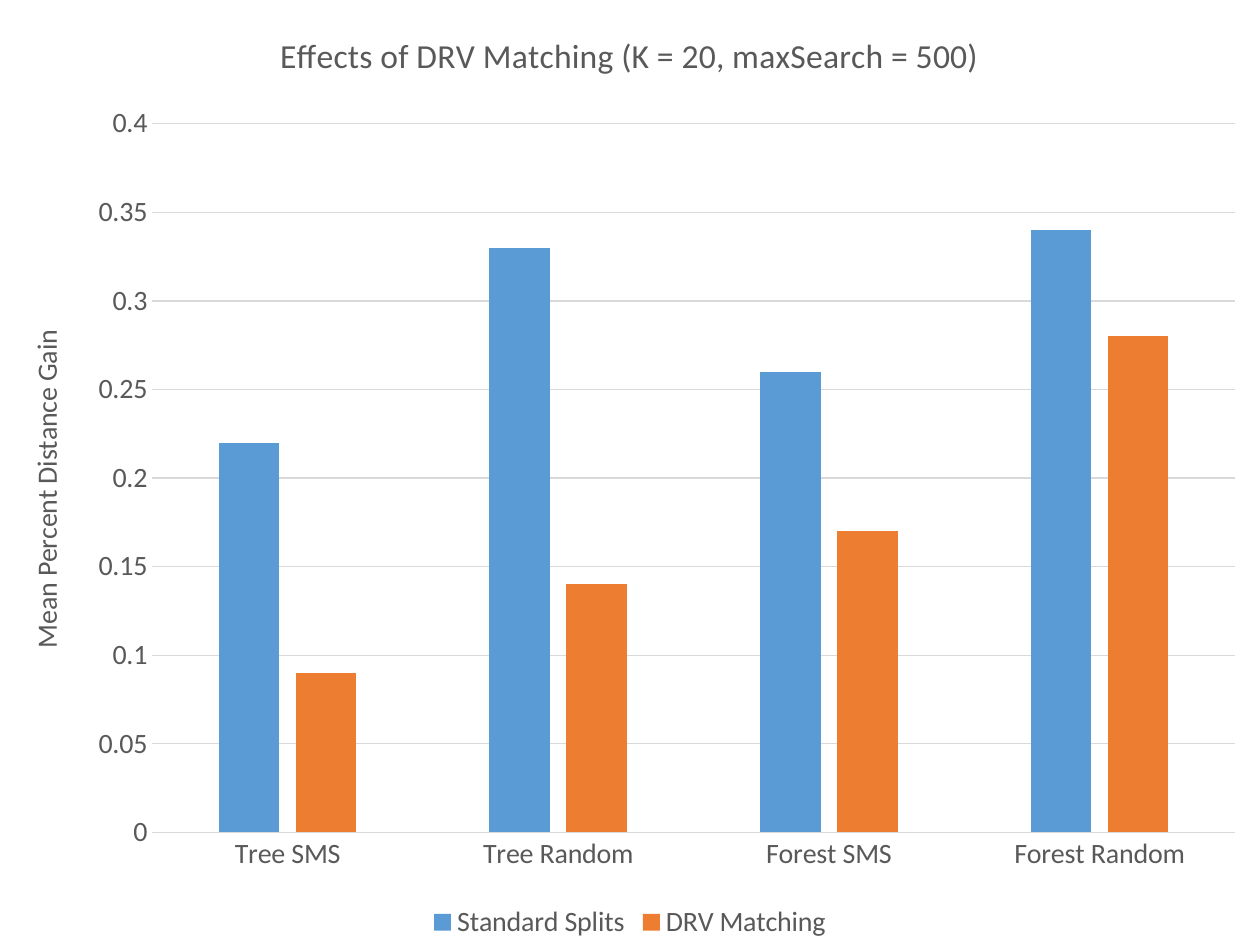
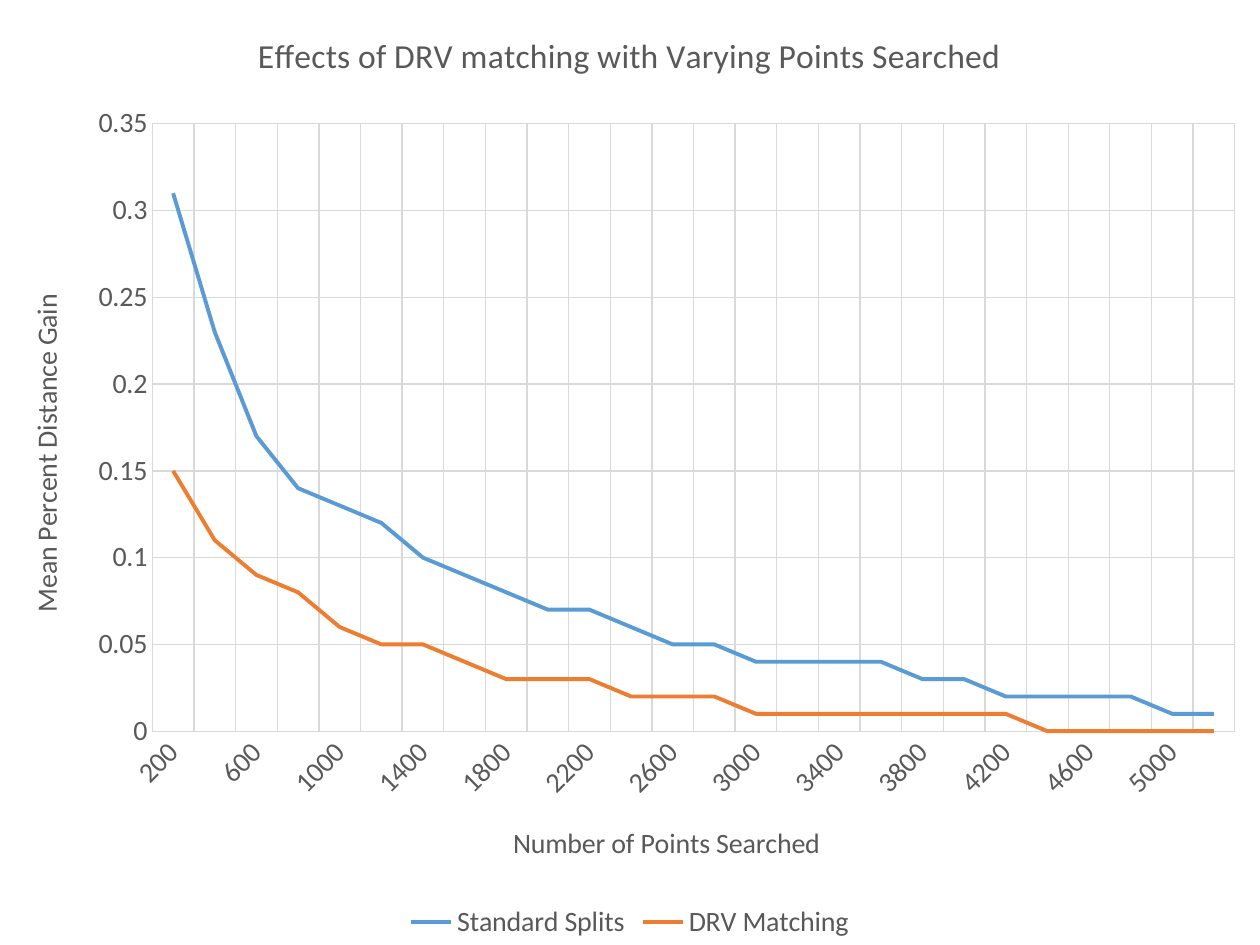
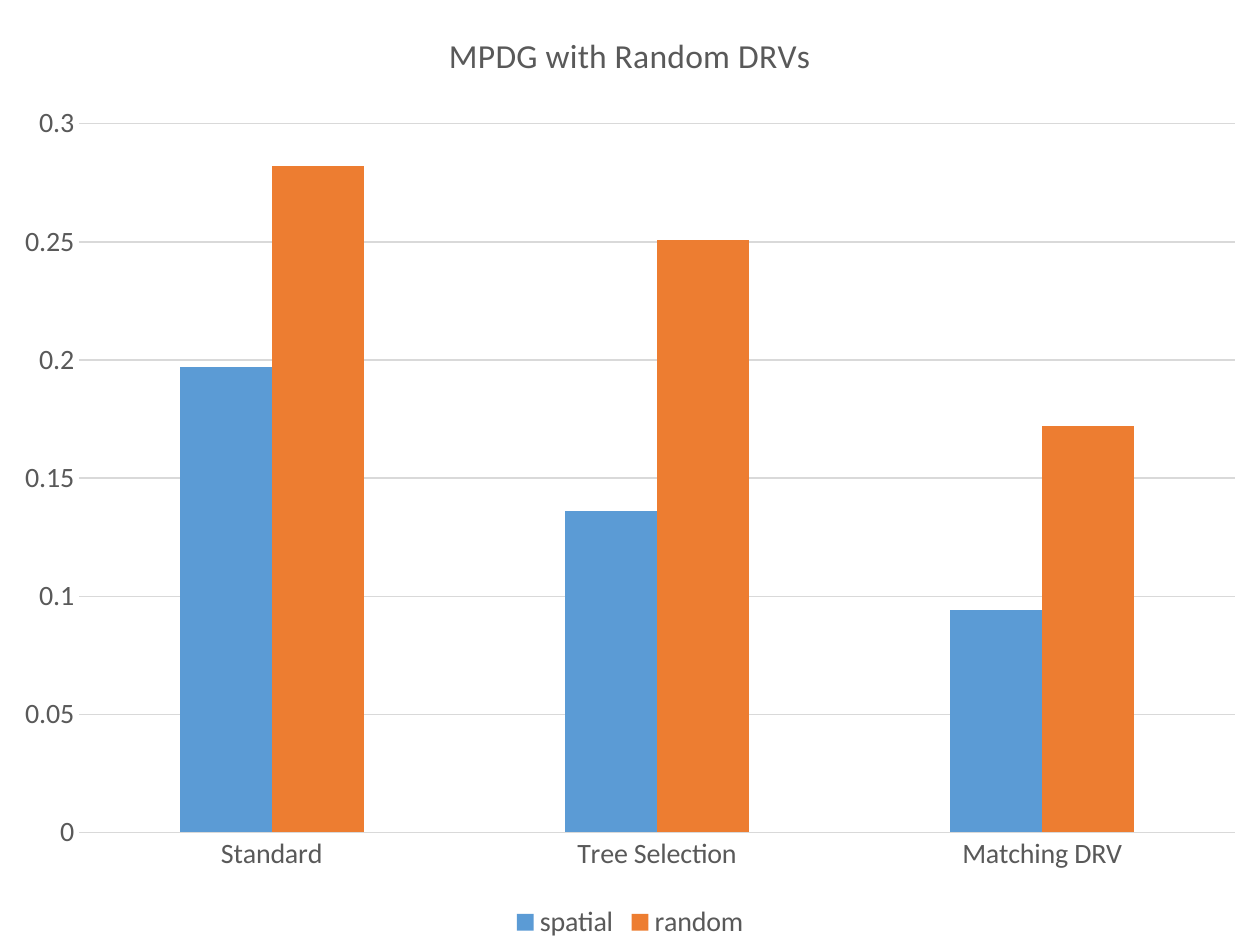
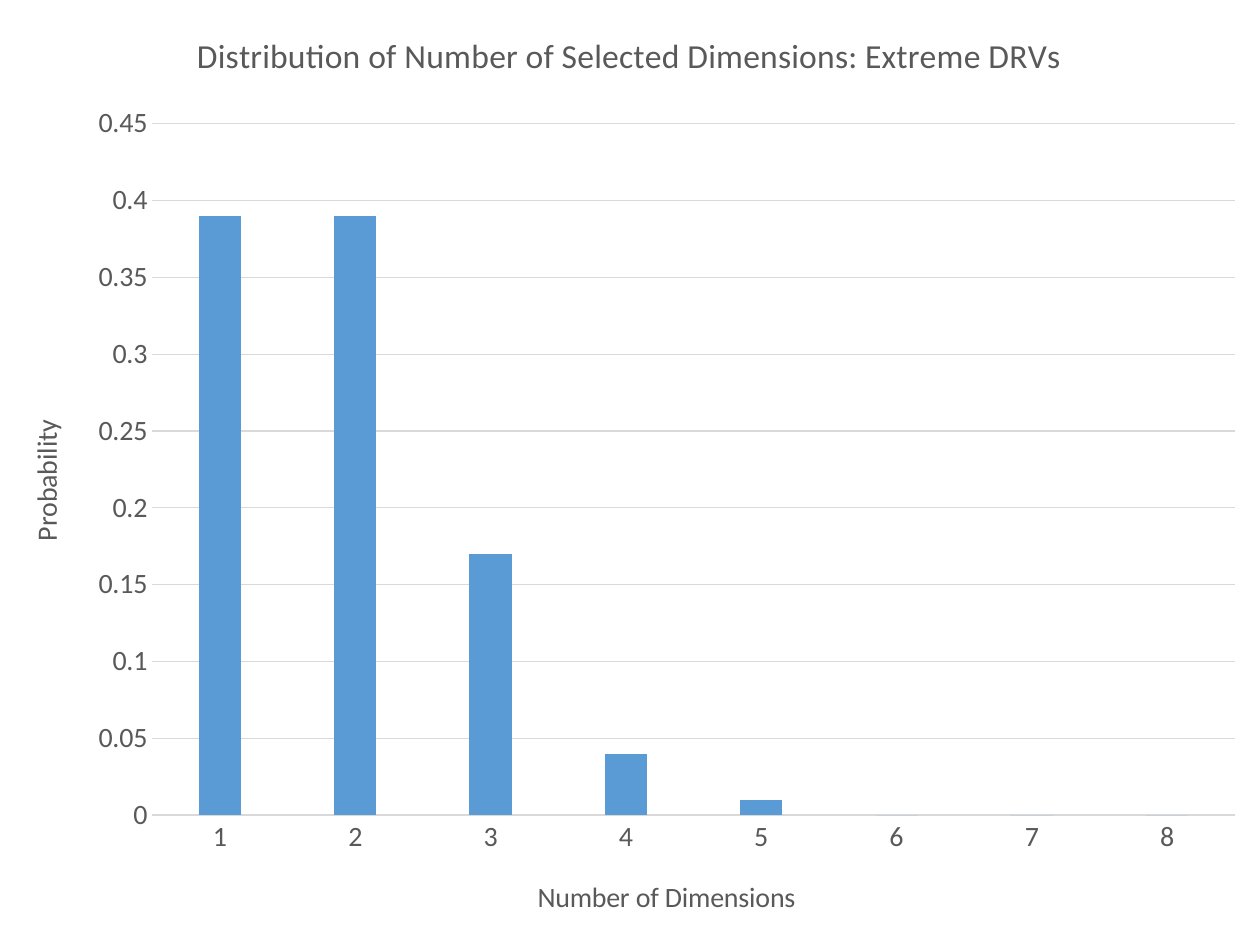
from dataclasses import dataclass, field
from typing import NamedTuple

from pptx import Presentation
from pptx.chart.data import CategoryChartData
from pptx.dml.color import RGBColor
from pptx.enum.chart import XL_CHART_TYPE as ChartType
from pptx.enum.chart import XL_LEGEND_POSITION as LegendPosition
from pptx.enum.chart import XL_TICK_MARK as TickMark
from pptx.util import Cm, Pt


@dataclass(frozen=True)
class Theme:
    font: str = "Calibri"
    text: RGBColor = field(default_factory=lambda: RGBColor.from_string("595959"))
    rule: RGBColor = field(default_factory=lambda: RGBColor.from_string("D9D9D9"))
    series: tuple = tuple(RGBColor.from_string(code) for code in ("5B9BD5", "ED7D31"))
    title_size: Pt = Pt(19.2)
    body_size: Pt = Pt(16)
    rule_width: Pt = Pt(0.75)
    line_width: Pt = Pt(2.25)


class Box(NamedTuple):
    left: Cm
    top: Cm
    width: Cm
    height: Cm


THEME = Theme()
PAGE_BOX = Box(Cm(0), Cm(0), Cm(25.4), Cm(19.05))
AXIS_STEP = 0.05
GAP_WIDTH = 219
SPACED = -27
TURNED_UP = "-5400000"
AUTOMATIC_ANGLE = "-60000000"


def style_font(font, size=THEME.body_size):
    font.name = THEME.font
    font.size = size
    font.bold = False
    font.color.rgb = THEME.text


def style_rule(line):
    line.color.rgb = THEME.rule
    line.width = THEME.rule_width


def write_title(owner, text, size=THEME.body_size, angle="0"):
    """Title a chart or an axis."""
    frame = (owner.chart_title if hasattr(owner, "chart_title") else owner.axis_title).text_frame
    span = frame.paragraphs[0].add_run()
    span.text = text
    style_font(span.font, size)
    body = frame._txBody.bodyPr
    body.set("rot", angle)
    body.set("vert", "horz")


def style_axis(axis, title, title_angle="0"):
    axis.major_tick_mark = axis.minor_tick_mark = TickMark.NONE
    style_font(axis.tick_labels.font)
    axis._element.txPr.bodyPr.set("rot", AUTOMATIC_ANGLE)
    axis.has_title = bool(title)
    if title:
        write_title(axis, title, angle=title_angle)


def style_axes(chart, top_value, category_title, value_title, category_grid):
    categories, values = chart.category_axis, chart.value_axis
    style_axis(categories, category_title)
    style_rule(categories.format.line)
    categories.has_major_gridlines = category_grid
    if category_grid:
        style_rule(categories.major_gridlines.format.line)

    style_axis(values, value_title, TURNED_UP)
    values.format.line.fill.background()
    values.minimum_scale, values.maximum_scale = 0, top_value
    values.major_unit = AXIS_STEP
    values.has_major_gridlines = True
    style_rule(values.major_gridlines.format.line)


def add_chart(deck, box, kind, title, categories, series, top_value,
              category_title=None, value_title=None, category_grid=False):
    """Add a page with one chart and return its plot; the series are left to colour."""
    page = deck.slides.add_slide(deck.slide_layouts[6])
    data = CategoryChartData()
    data.categories = categories
    for name, values in series.items():
        data.add_series(name, values)
    chart = page.shapes.add_chart(kind, *box, data).chart
    style_font(chart.font)
    chart.has_title = True
    write_title(chart, title, THEME.title_size)
    chart.chart_title.include_in_layout = False
    style_axes(chart, top_value, category_title, value_title, category_grid)

    chart.has_legend = len(series) > 1
    if chart.has_legend:
        chart.legend.position = LegendPosition.BOTTOM
        chart.legend.include_in_layout = False
        style_font(chart.legend.font)
    plot = chart.plots[0]
    plot.vary_by_categories = False
    return plot


def add_column_page(deck, box, overlap=SPACED, **content):
    plot = add_chart(deck, box, ChartType.COLUMN_CLUSTERED, **content)
    plot.gap_width = GAP_WIDTH
    plot.overlap = overlap
    for column, color in zip(plot.series, THEME.series):
        column.format.fill.solid()
        column.format.fill.fore_color.rgb = color
        column.invert_if_negative = False


def add_line_page(deck, box, **content):
    plot = add_chart(deck, box, ChartType.LINE, category_grid=True, **content)
    for curve, color in zip(plot.series, THEME.series):
        curve.smooth = False
        curve.format.line.color.rgb = color
        curve.format.line.width = THEME.line_width


def main():
    deck = Presentation()
    deck.slide_width, deck.slide_height = PAGE_BOX.width, PAGE_BOX.height

    add_column_page(
        deck, PAGE_BOX,
        title="Effects of DRV Matching (K = 20, maxSearch = 500)",
        categories=["Tree SMS", "Tree Random", "Forest SMS", "Forest Random"],
        series={
            "Standard Splits": (0.22, 0.33, 0.26, 0.34),
            "DRV Matching": (0.09, 0.14, 0.17, 0.28),
        },
        top_value=0.4,
        value_title="Mean Percent Distance Gain",
    )
    add_line_page(
        deck, PAGE_BOX,
        title="Effects of DRV matching with Varying Points Searched",
        categories=[str(points) for points in range(200, 5201, 200)],
        series={
            "Standard Splits": (
                0.31, 0.23, 0.17, 0.14, 0.13, 0.12, 0.1, 0.09, 0.08, 0.07, 0.07, 0.06, 0.05,
                0.05, 0.04, 0.04, 0.04, 0.04, 0.03, 0.03, 0.02, 0.02, 0.02, 0.02, 0.01, 0.01),
            "DRV Matching": (
                0.15, 0.11, 0.09, 0.08, 0.06, 0.05, 0.05, 0.04, 0.03, 0.03, 0.03, 0.02, 0.02,
                0.02, 0.01, 0.01, 0.01, 0.01, 0.01, 0.01, 0.01, 0, 0, 0, 0, 0),
        },
        top_value=0.35,
        category_title="Number of Points Searched",
        value_title="Mean Percent Distance Gain",
    )
    add_column_page(
        deck, PAGE_BOX, overlap=0,
        title="MPDG with Random DRVs",
        categories=["Standard", "Tree Selection", "Matching DRV"],
        series={
            "spatial": (0.197, 0.136, 0.094),
            "random": (0.282, 0.251, 0.172),
        },
        top_value=0.3,
    )
    add_column_page(
        deck, PAGE_BOX,
        title="Distribution of Number of Selected Dimensions: Extreme DRVs",
        categories=[str(count) for count in range(1, 9)],
        series={"Series 1": (0.39, 0.39, 0.17, 0.04, 0.01, 0, 0, 0)},
        top_value=0.45,
        category_title="Number of Dimensions",
        value_title="Probability",
    )
    deck.save("out.pptx")


if __name__ == "__main__":
    main()
